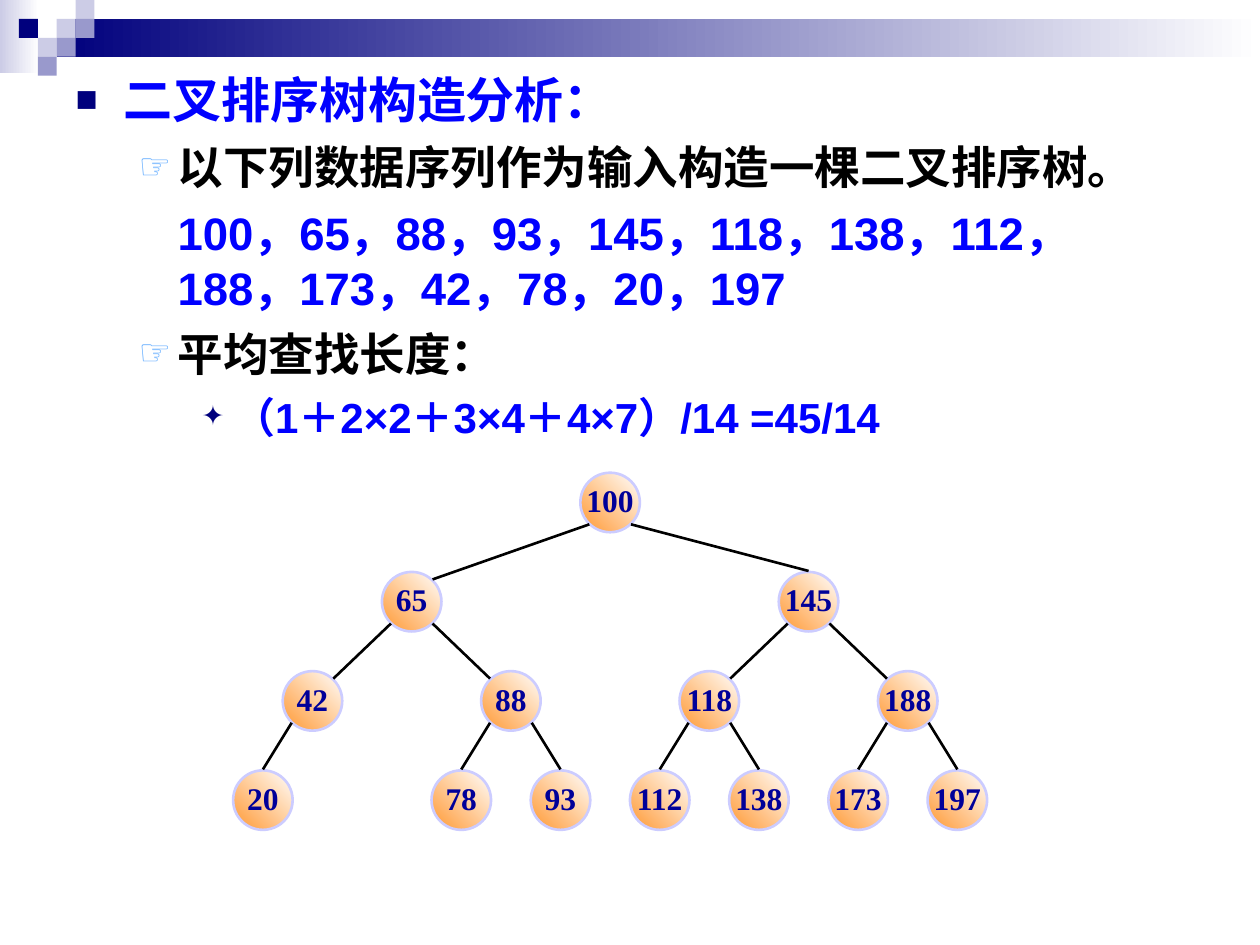
from lxml.etree import SubElement
from pptx import Presentation
from pptx.dml.color import RGBColor
from pptx.enum.shapes import MSO_CONNECTOR, MSO_SHAPE
from pptx.enum.text import MSO_ANCHOR, MSO_AUTO_SIZE, PP_ALIGN
from pptx.oxml.ns import qn
from pptx.util import Cm, Inches, Pt


def color(hex_text):
    return RGBColor.from_string(hex_text)


def add_filled(kind, left, top, width, height, colors, angle=0):
    shape = slide.shapes.add_shape(kind, left, top, width, height)
    shape.shadow.inherit = False
    shape.line.fill.background()
    if len(colors) == 1:
        shape.fill.solid()
        shape.fill.fore_color.rgb = color(colors[0])
    else:
        shape.fill.gradient()
        shape.fill.gradient_angle = angle
        for stop, hex_text in zip(shape.fill.gradient_stops, colors):
            stop.color.rgb = color(hex_text)
    return shape


presentation = Presentation()
presentation.slide_width = Inches(10)
presentation.slide_height = Inches(7.5)
slide = presentation.slides.add_slide(presentation.slide_layouts[1])
title = slide.shapes.title
title._element.getparent().remove(title._element)

cell = Inches(0.15)
rectangle = MSO_SHAPE.RECTANGLE
add_filled(rectangle, 0, 0, Inches(0.31), Inches(0.58), ["CCCCE6", "FFFFFF"])
add_filled(rectangle, 3 * cell, cell, presentation.slide_width - 3 * cell, 2 * cell,
           ["00007D", "FFFFFF"])
squares = [
    (3, 1, "CCCCE6"), (4, 0, "CCCCE6"), (4, 1, "9999CC"), (2, 2, "CCCCE6"),
    (1, 1, "00007D"), (3, 2, "9999CC"), (2, 3, "9999CC"),
]
for column, row, hex_text in squares:
    add_filled(rectangle, column * cell, row * cell, cell, cell, [hex_text])

body = slide.placeholders[1]
slide.shapes._spTree.append(body._element)
body.left, body.top, body.width, body.height = Inches(0.5), Inches(0.5), Inches(9), Inches(7)
frame = body.text_frame
frame.auto_size = MSO_AUTO_SIZE.NONE
frame.vertical_anchor = MSO_ANCHOR.TOP

square, hand, star = ("■", "00007D", 75), ("☞", "67AFFF", 80), ("✦", "00007D", 65)
outline = [
    ("二叉排序树构造分析：", 0, 28, "0000FF", 0, 0.38, -0.38, square),
    ("以下列数据序列作为输入构造一棵二叉排序树。", 1, 26, "000000", 6.5, 0.81, -0.31, hand),
    ("100，65，88，93，145，118，138，112，188，173，42，78，20，197",
     1, 26, "0000FF", 6.5, 0.81, 0, None),
    ("平均查找长度：", 1, 26, "000000", 6.5, 0.81, -0.31, hand),
    ("（1＋2×2＋3×4＋4×7）/14 =45/14", 2, 24, "0000FF", 6, 1.25, -0.25, star),
]
for index, (text, level, size, hex_text, before, margin, indent, bullet) in enumerate(outline):
    paragraph = frame.add_paragraph() if index else frame.paragraphs[0]
    paragraph.text = text
    paragraph.level = level
    paragraph.space_before = Pt(before)
    properties = paragraph._p.get_or_add_pPr()
    properties.set("marL", str(Inches(margin)))
    properties.set("indent", str(Inches(indent)))
    if bullet:
        mark, mark_color, percent = bullet
        SubElement(SubElement(properties, qn("a:buClr")), qn("a:srgbClr"), val=mark_color)
        SubElement(properties, qn("a:buSzPct"), val=str(percent * 1000))
        SubElement(properties, qn("a:buChar"), char=mark)
    else:
        SubElement(properties, qn("a:buNone"))
    paragraph.font.name = "Arial"
    paragraph.font.size = Pt(size)
    paragraph.font.bold = True
    paragraph.font.color.rgb = color(hex_text)

diameter = 1.2
tree = [
    (100, 7, 0, None), (65, 3, 1, 100), (145, 11, 1, 100),
    (42, 1, 2, 65), (88, 5, 2, 65), (118, 9, 2, 145), (188, 13, 2, 145),
    (20, 0, 3, 42), (78, 4, 3, 88), (93, 6, 3, 88), (112, 8, 3, 118),
    (138, 10, 3, 118), (173, 12, 3, 188), (197, 14, 3, 188),
]
corners = {}
for value, column, level, parent in tree:
    left, top = 4.7 + column, 9.53 + 2 * level
    corners[value] = left, top
    node = add_filled(MSO_SHAPE.OVAL, Cm(left), Cm(top), Cm(diameter), Cm(diameter),
                      ["FF9933", "FFFFFF"], 45)
    node.line.color.rgb = color("CCCCFF")
    node.line.width = Pt(1.5)
    label = node.text_frame
    label.word_wrap = False
    label.vertical_anchor = MSO_ANCHOR.MIDDLE
    label.margin_left, label.margin_right = Inches(0.1), Inches(0.1)
    label.margin_top, label.margin_bottom = Inches(0.01), Inches(0.05)
    paragraph = label.paragraphs[0]
    paragraph.text = str(value)
    paragraph.alignment = PP_ALIGN.CENTER
    paragraph.font.name = "Times New Roman"
    paragraph.font.size = Pt(18)
    paragraph.font.bold = True
    paragraph.font.color.rgb = color("000099")

for value, column, level, parent in tree[1:]:
    left, top = corners[value]
    parent_left, parent_top = corners[parent]
    side = 0.42 if left > parent_left else -0.42
    start_x, start_y = parent_left + diameter / 2 + side, parent_top + 1.04
    end_x, end_y = left + diameter / 2 - side, top + 0.15
    if level == 3 or value == 145:
        end_x, end_y = left + diameter / 2, top - 0.02
    branch = slide.shapes.add_connector(MSO_CONNECTOR.STRAIGHT, Cm(start_x), Cm(start_y),
                                        Cm(end_x), Cm(end_y))
    branch.line.color.rgb = color("000000")
    branch.line.width = Pt(1.5)
    SubElement(branch._element.spPr, qn("a:effectLst"))

presentation.save("out.pptx")
